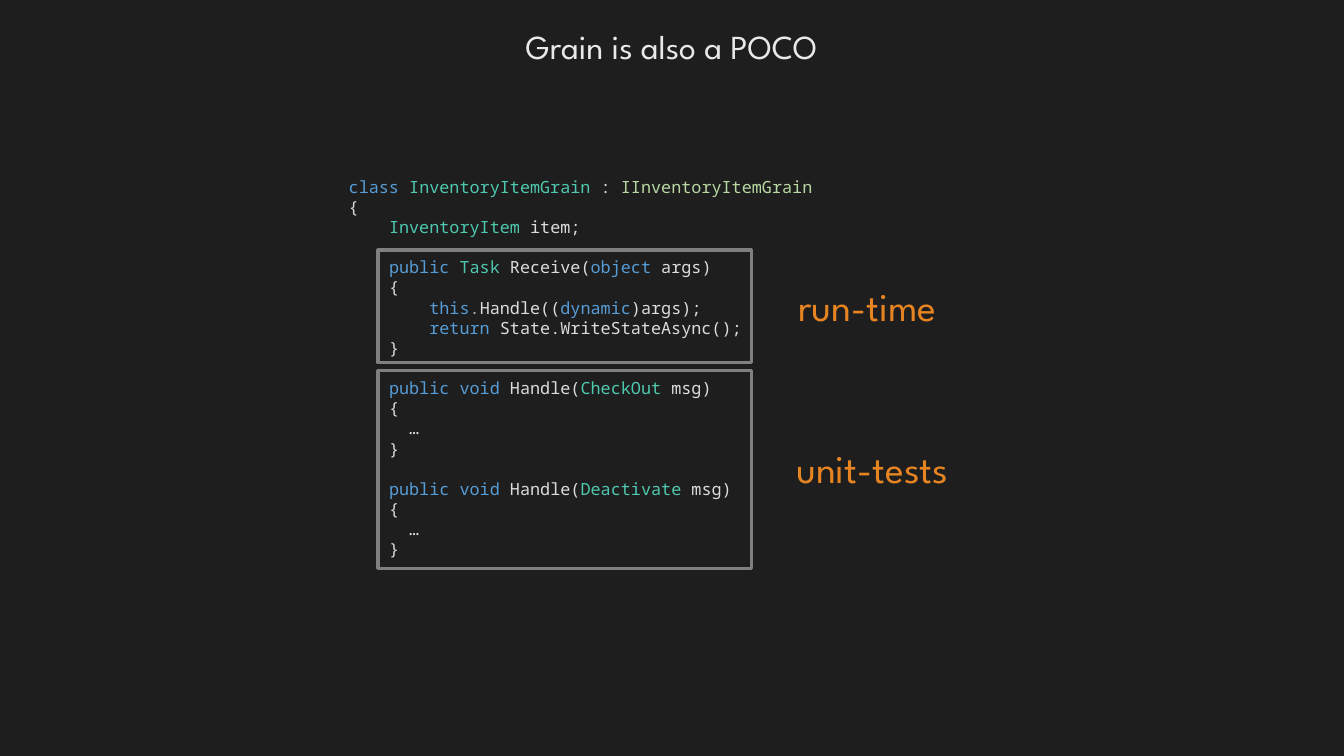
from pptx import Presentation
from pptx.dml.color import RGBColor
from pptx.enum.shapes import MSO_SHAPE
from pptx.enum.text import MSO_AUTO_SIZE, PP_ALIGN
from pptx.util import Inches, Pt

BACKGROUND = RGBColor(0x1E, 0x1E, 0x1E)
KEYWORD = RGBColor(0x56, 0x9C, 0xD6)
PLAIN = RGBColor(0xDC, 0xDC, 0xDC)
TYPE = RGBColor(0x4E, 0xC9, 0xB0)
INTERFACE = RGBColor(0xB8, 0xD7, 0xA3)
DOT = RGBColor(0xB4, 0xB4, 0xB4)
TITLE = RGBColor(0xE9, 0xE9, 0xE9)
ORANGE = RGBColor(0xE6, 0x84, 0x22)
GRAY = RGBColor(0x80, 0x80, 0x80)

CHAR_WIDTH = 0.1  # inches, one monospaced character at 12 pt
LINE_HEIGHT = Pt(14.4)

prs = Presentation()
prs.slide_width, prs.slide_height = Inches(13.33), Inches(7.5)
s = prs.slides.add_slide(prs.slide_layouts[6])
s.background.fill.solid()
s.background.fill.fore_color.rgb = BACKGROUND


def add_text(lines, left, top, width, height, font="League Spartan", size=28,
             align=PP_ALIGN.CENTER, wrap=False):
    """Add lines of (indent in characters, blank line before, runs of (text, colour))."""
    tf = s.shapes.add_textbox(Inches(left), Inches(top), Inches(width), Inches(height)).text_frame
    tf.word_wrap = wrap
    tf.auto_size = MSO_AUTO_SIZE.SHAPE_TO_FIT_TEXT
    for i, (indent, gap, runs) in enumerate(lines):
        p = tf.add_paragraph() if i else tf.paragraphs[0]
        p.alignment = align
        if indent:
            p._p.get_or_add_pPr().set("marL", str(Inches(indent * CHAR_WIDTH)))
        if gap:
            p.space_before = LINE_HEIGHT
        for text, color in runs:
            r = p.add_run()
            r.text = text
            r.font.name, r.font.size = font, Pt(size)
            r.font.color.rgb = color


def handler(message):
    return [
        (4, True, [("public", KEYWORD), (" ", PLAIN), ("void", KEYWORD), (" Handle(", PLAIN),
                   (message, TYPE), (" msg)", PLAIN)]),
        (4, False, [("{", PLAIN)]),
        (6, False, [("…", PLAIN)]),
        (4, False, [("}", PLAIN)]),
    ]


code = [
    (0, False, [("class", KEYWORD), (" ", PLAIN), ("InventoryItemGrain", TYPE), (" : ", PLAIN),
                ("IInventoryItemGrain", INTERFACE)]),
    (0, False, [("{", PLAIN)]),
    (4, False, [("InventoryItem", TYPE), (" item;", PLAIN)]),
    (4, True, [("public", KEYWORD), (" ", PLAIN), ("Task", TYPE), (" Receive(", PLAIN),
               ("object", KEYWORD), (" args)", PLAIN)]),
    (4, False, [("{", PLAIN)]),
    (8, False, [("this", KEYWORD), (".", DOT), ("Handle((", PLAIN), ("dynamic", KEYWORD),
                (")args);", PLAIN)]),
    (8, False, [("return ", KEYWORD), ("State.WriteStateAsync();", PLAIN)]),
    (4, False, [("}", PLAIN)]),
    *handler("CheckOut"),
    *handler("Deactivate"),
]
add_text(code, 3.36, 1.7, 5.41, 3.94, font="Noto Sans Mono", size=12,
         align=PP_ALIGN.LEFT, wrap=True)
add_text([(0, False, [("Grain is also a POCO", TITLE)])], 4.86, 0.21, 3.6, 0.5, size=24)

# Frames around the two parts of the class, each with its label
for label, label_left, label_top, frame_top, frame_height in [
    ("run-time", 7.67, 2.75, 2.48, 1.12),
    ("unit-tests", 7.72, 4.36, 3.68, 1.96),
]:
    frame = s.shapes.add_shape(MSO_SHAPE.RECTANGLE, Inches(3.75), Inches(frame_top),
                               Inches(3.7), Inches(frame_height))
    frame.shadow.inherit = False
    frame.fill.background()
    frame.line.color.rgb = GRAY
    frame.line.width = Pt(2.25)
    add_text([(0, False, [(label, ORANGE)])], label_left, label_top, 1.86, 0.57)

prs.save("out.pptx")
